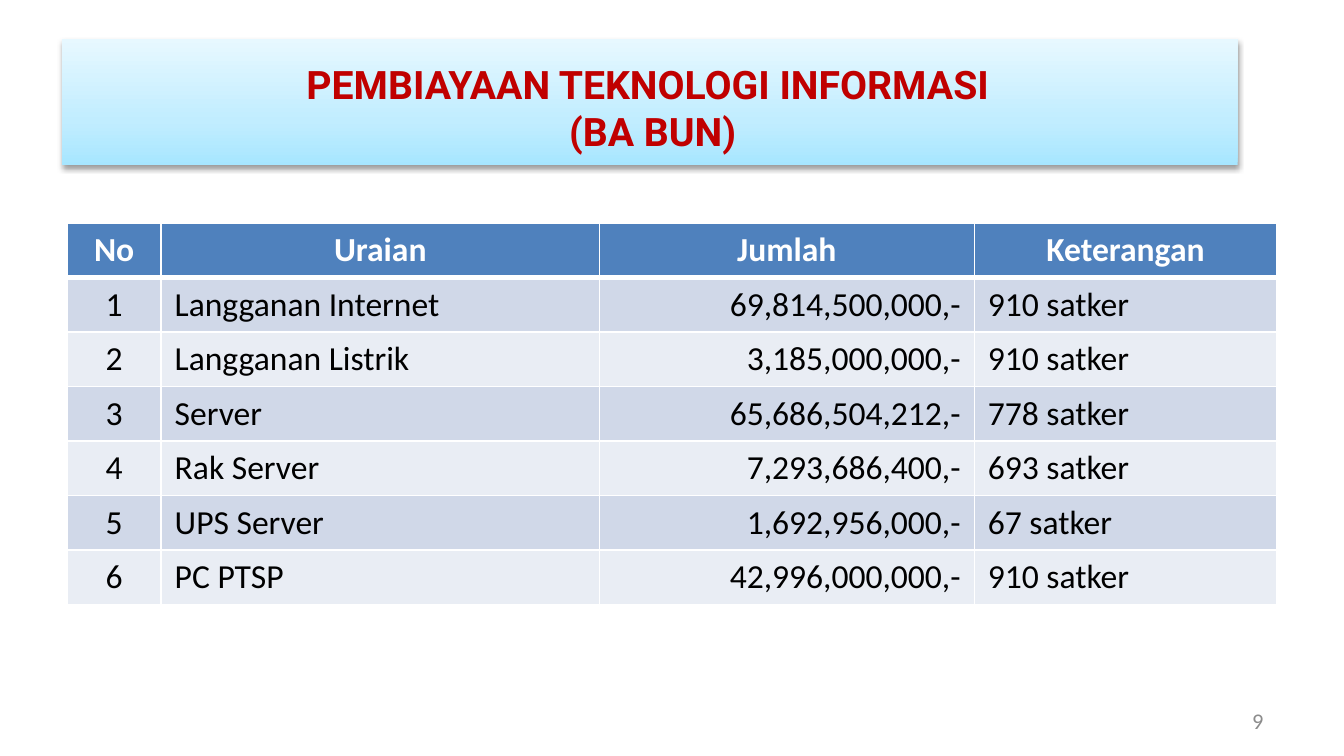
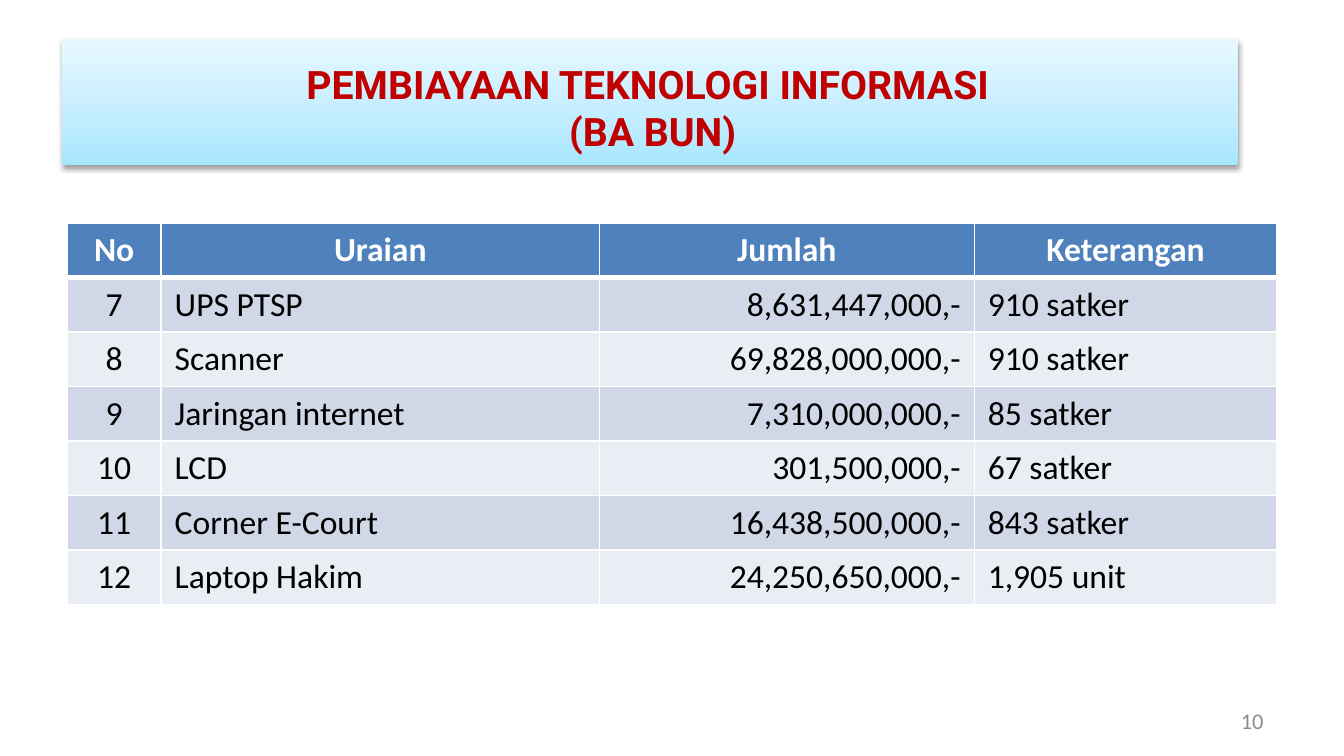
from dataclasses import dataclass

from lxml.etree import SubElement
from pptx import Presentation
from pptx.dml.color import RGBColor
from pptx.enum.shapes import MSO_SHAPE
from pptx.enum.text import MSO_ANCHOR, MSO_AUTO_SIZE, PP_ALIGN
from pptx.oxml import parse_xml
from pptx.oxml.ns import nsdecls, qn
from pptx.util import Inches, Pt

TITLE = ["PEMBIAYAAN TEKNOLOGI INFORMASI", " (BA BUN)"]
HEADERS = ["No", "Uraian", "Jumlah", "Keterangan"]
PAGES = [
    (9, [
        ("1", "Langganan Internet", "69,814,500,000,-", "910 satker"),
        ("2", "Langganan Listrik", "3,185,000,000,-", "910 satker"),
        ("3", "Server", "65,686,504,212,-", "778 satker"),
        ("4", "Rak Server", "7,293,686,400,-", "693 satker"),
        ("5", "UPS Server", "1,692,956,000,-", "67 satker"),
        ("6", "PC PTSP", "42,996,000,000,-", "910 satker"),
    ]),
    (10, [
        ("7", "UPS PTSP", "8,631,447,000,-", "910 satker"),
        ("8", "Scanner", "69,828,000,000,-", "910 satker"),
        ("9", "Jaringan internet", "7,310,000,000,-", "85 satker"),
        ("10", "LCD", "301,500,000,-", "67 satker"),
        ("11", "Corner E-Court", "16,438,500,000,-", "843 satker"),
        ("12", "Laptop Hakim", "24,250,650,000,-", "1,905 unit"),
    ]),
]


@dataclass(frozen=True)
class Theme:
    title_font: str = "Roboto"
    body_font: str = "Calibri"
    title_size: int = 21
    table_size: int = 18
    number_size: int = 12
    title: str = "C00000"
    number: str = "8C8C8C"
    header: str = "4F81BD"
    header_text: str = "FFFFFF"
    text: str = "000000"
    border: str = "FFFFFF"
    stripes: tuple = ("D0D8E8", "E9EDF4")
    band: tuple = ((0, "A7E6FF"), (35, "C1EDFF"), (100, "E7F8FF"))


THEME = Theme()
SLIDE_WIDTH = 10
SLIDE_SIZE = (SLIDE_WIDTH, SLIDE_WIDTH * 9 / 16)
BAND = (0.46, 0.29, 8.75, 0.94)
TITLE_BOX = (0.29, 0.4, 9.06, 0.81)
TABLE = (0.5, 1.66, 9, 2.84)
NUMBER_BOX = (7.17, 5.21, 2.33, 0.3)
COLUMN_WIDTHS = (0.7, 3.26, 2.79, 2.25)
COLUMN_ALIGNS = (PP_ALIGN.CENTER, PP_ALIGN.LEFT, PP_ALIGN.RIGHT, PP_ALIGN.LEFT)
THIN, THICK = 1, 3


def inches(lengths):
    return [Inches(length) for length in lengths]


def write(para, text, font, size, color, align, bold=False):
    para.alignment = align
    span = para.add_run()
    span.text = text
    span.font.name = font
    span.font.size = Pt(size)
    span.font.bold = bold
    span.font.color.rgb = RGBColor.from_string(color)


def add_band(page):
    """Add the gradient band with its soft shadow, behind the title."""
    band = page.shapes.add_shape(MSO_SHAPE.RECTANGLE, *inches(BAND))
    band.line.fill.background()
    stops = "".join(
        f'<a:gs pos="{share * 1000}"><a:srgbClr val="{color}"/></a:gs>'
        for share, color in THEME.band)
    outline = band.element.spPr.find(qn("a:ln"))
    outline.addprevious(parse_xml(
        f'<a:gradFill {nsdecls("a")} rotWithShape="1"><a:gsLst>{stops}</a:gsLst>'
        '<a:lin ang="16200000" scaled="0"/></a:gradFill>'))
    outline.addnext(parse_xml(
        f'<a:effectLst {nsdecls("a")}><a:outerShdw blurRad="{Pt(3.1)}" '
        f'dist="{Pt(1.6)}" dir="5400000" rotWithShape="0"><a:srgbClr val="000000">'
        '<a:alpha val="38000"/></a:srgbClr></a:outerShdw></a:effectLst>'))
    page.shapes.title.element.addprevious(band.element)


def add_title(page):
    title = page.shapes.title
    title.left, title.top, title.width, title.height = inches(TITLE_BOX)
    frame = title.text_frame
    frame.word_wrap = True
    frame.auto_size = MSO_AUTO_SIZE.SHAPE_TO_FIT_TEXT
    frame.vertical_anchor = MSO_ANCHOR.TOP
    for index, line in enumerate(TITLE):
        para = frame.add_paragraph() if index else frame.paragraphs[0]
        write(para, line, THEME.title_font, THEME.title_size, THEME.title,
              PP_ALIGN.CENTER, bold=True)


def set_borders(cell, top, bottom):
    properties = cell._tc.get_or_add_tcPr()
    for side, width in (("L", THIN), ("R", THIN), ("T", top), ("B", bottom)):
        line = SubElement(properties, qn(f"a:ln{side}"), w=str(Pt(width)))
        fill = SubElement(line, qn("a:solidFill"))
        SubElement(fill, qn("a:srgbClr"), val=THEME.border)


def add_cost_table(page, costs):
    rows = [HEADERS, *costs]
    table = page.shapes.add_table(len(rows), len(HEADERS), *inches(TABLE)).table
    for column, width in zip(table.columns, COLUMN_WIDTHS):
        column.width = Inches(width)
    for row_index, row in enumerate(rows):
        is_header = row_index == 0
        fill = THEME.header if is_header else THEME.stripes[(row_index - 1) % 2]
        color = THEME.header_text if is_header else THEME.text
        for column_index, text in enumerate(row):
            cell = table.cell(row_index, column_index)
            set_borders(cell, top=THICK if row_index == 1 else THIN,
                        bottom=THICK if is_header else THIN)
            cell.fill.solid()
            cell.fill.fore_color.rgb = RGBColor.from_string(fill)
            align = PP_ALIGN.CENTER if is_header else COLUMN_ALIGNS[column_index]
            write(cell.text_frame.paragraphs[0], text, THEME.body_font,
                  THEME.table_size, color, align, bold=is_header)


def add_page_number(page, number):
    frame = page.shapes.add_textbox(*inches(NUMBER_BOX)).text_frame
    frame.word_wrap = True
    frame.vertical_anchor = MSO_ANCHOR.MIDDLE
    write(frame.paragraphs[0], str(number), THEME.body_font, THEME.number_size,
          THEME.number, PP_ALIGN.RIGHT)


def main():
    deck = Presentation()
    deck.slide_width, deck.slide_height = inches(SLIDE_SIZE)
    title_only = deck.slide_layouts.get_by_name("Title Only")
    for number, costs in PAGES:
        page = deck.slides.add_slide(title_only)
        add_band(page)
        add_title(page)
        add_cost_table(page, costs)
        add_page_number(page, number)
    deck.save("out.pptx")


if __name__ == "__main__":
    main()
